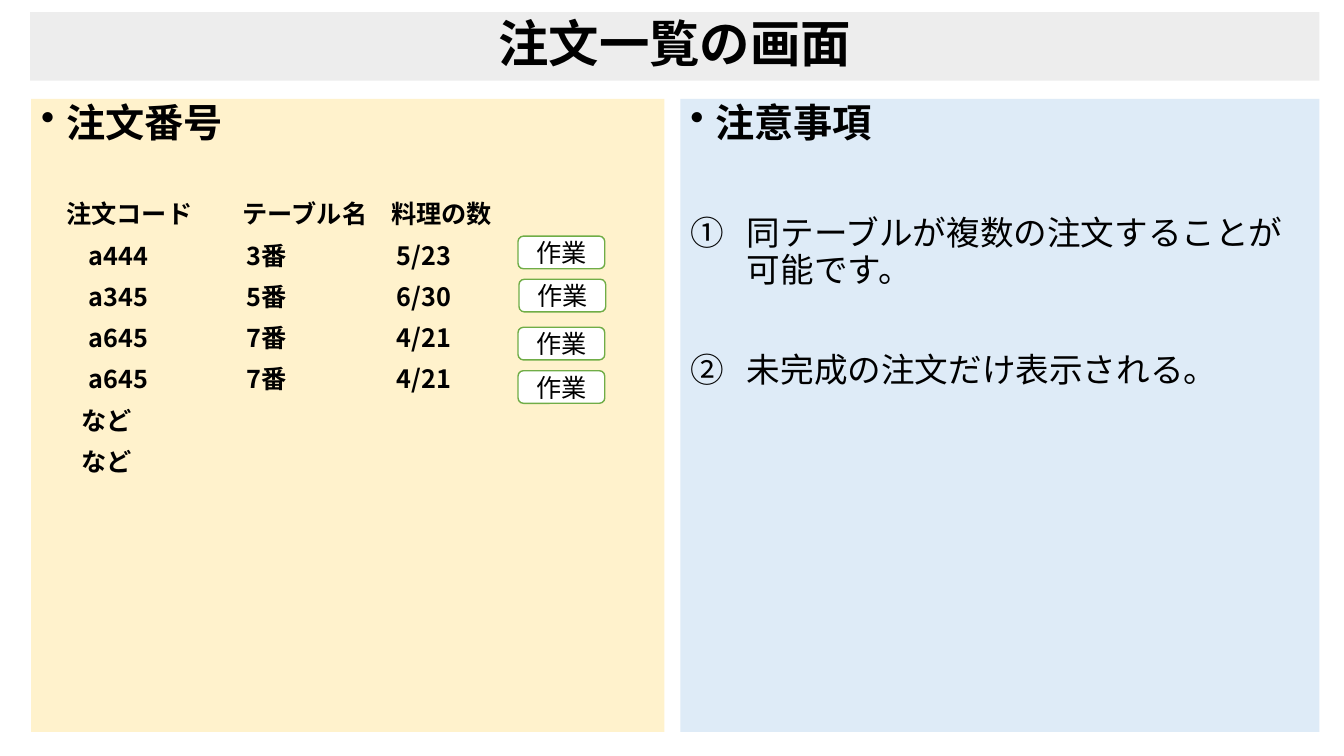
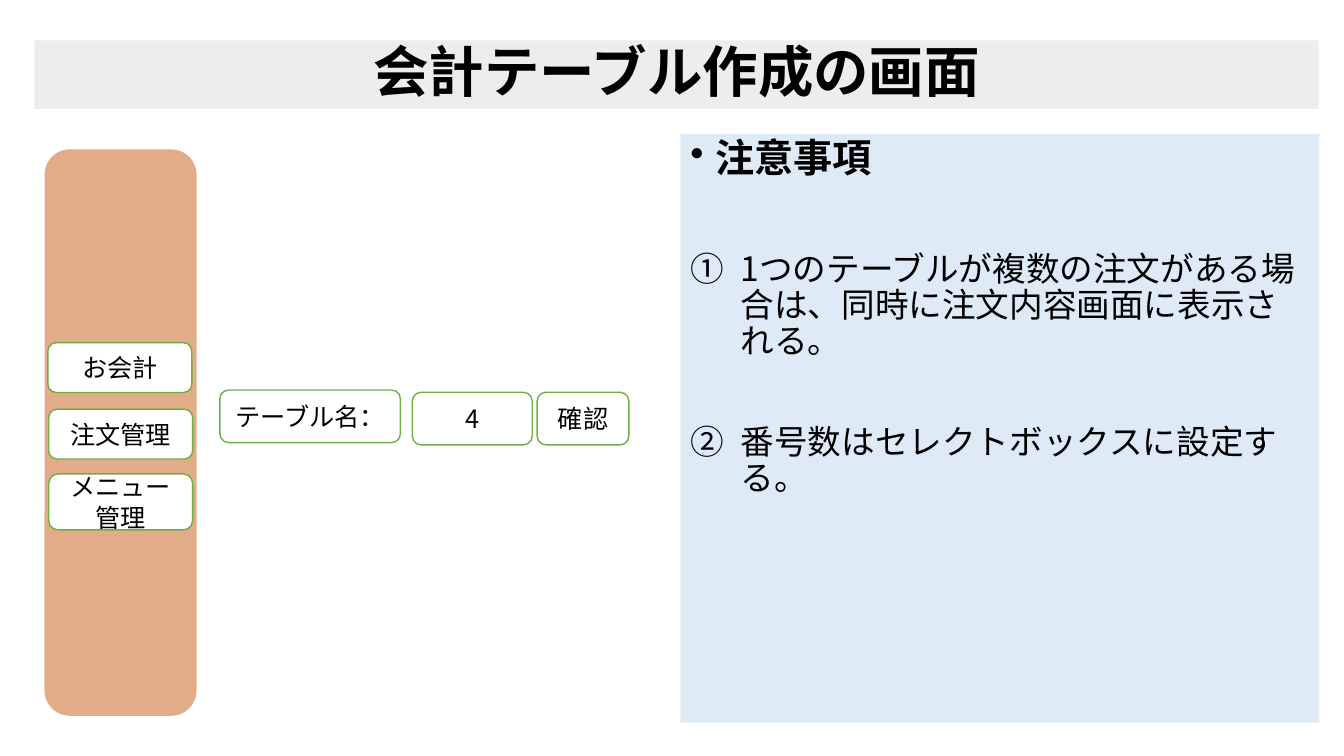
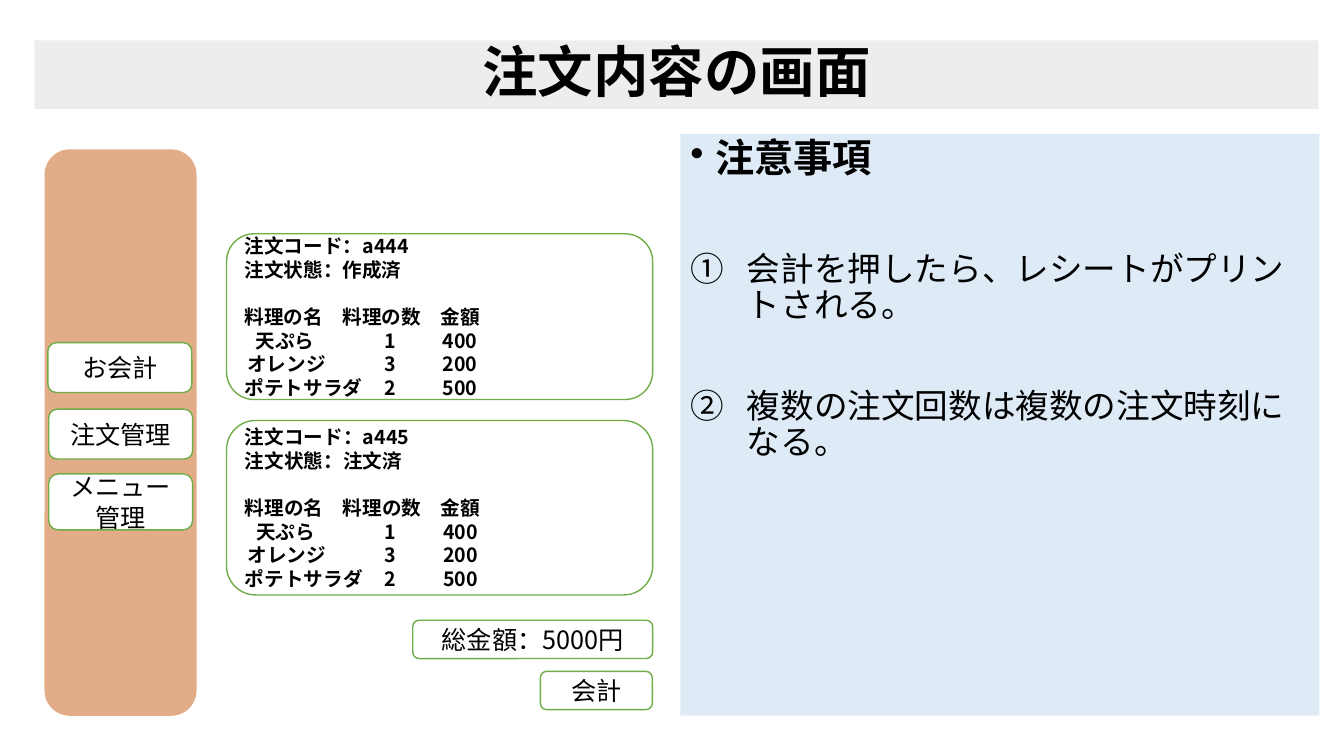
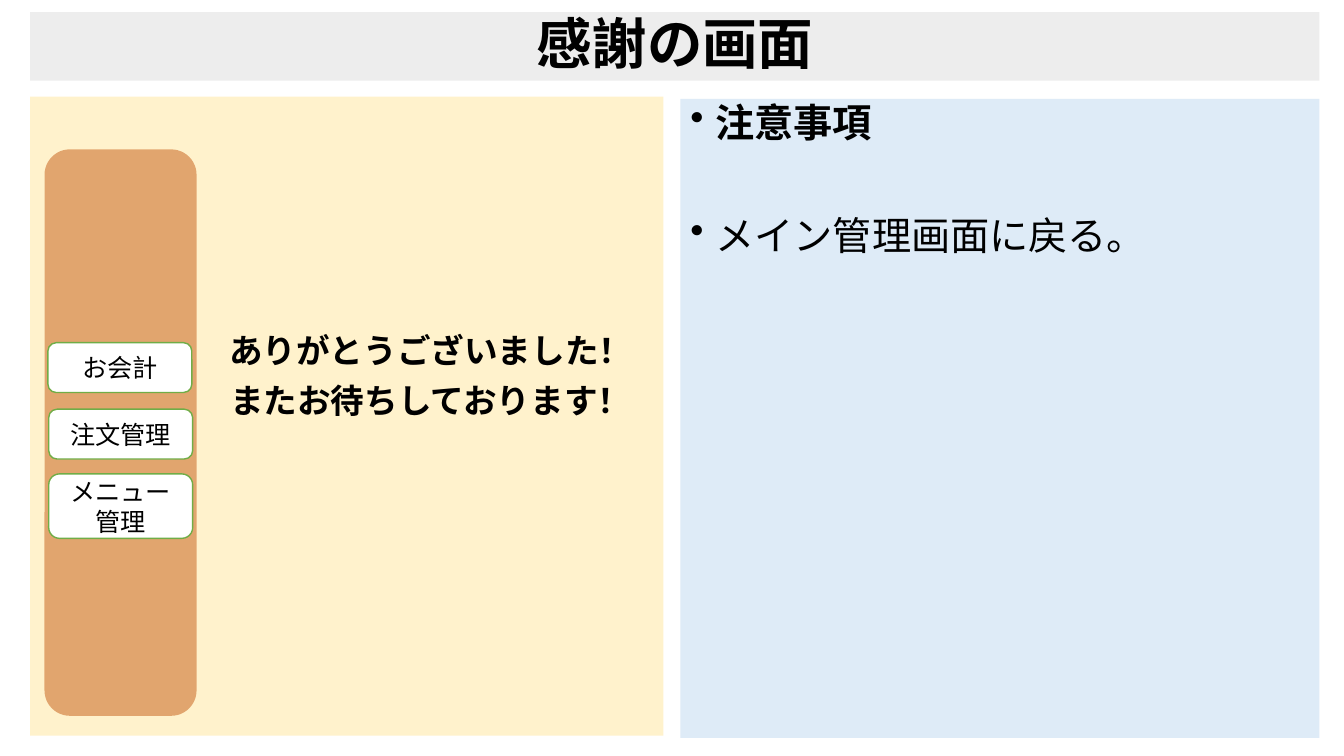
from lxml import etree
from pptx import Presentation
from pptx.dml.color import RGBColor
from pptx.enum.shapes import MSO_SHAPE
from pptx.enum.text import MSO_ANCHOR, PP_ALIGN
from pptx.oxml.ns import qn
from pptx.util import Pt

FONT = "Noto Sans CJK JP"
BLACK = RGBColor(0x00, 0x00, 0x00)
WHITE = RGBColor(0xFF, 0xFF, 0xFF)
GREY = RGBColor(0xED, 0xED, 0xED)
CREAM = RGBColor(0xFF, 0xF2, 0xCC)
BLUE = RGBColor(0xDE, 0xEB, 0xF7)
GREEN = RGBColor(0x70, 0xAD, 0x47)
BROWN = RGBColor(0xC5, 0x5A, 0x11)


def box(slide, at, fill, rounded=False, outline=None, anchor=MSO_ANCHOR.TOP):
    kind = MSO_SHAPE.ROUNDED_RECTANGLE if rounded else MSO_SHAPE.RECTANGLE
    shape = slide.shapes.add_shape(kind, *[Pt(v) for v in at])
    shape.shadow.inherit = False
    shape.fill.solid()
    shape.fill.fore_color.rgb = fill
    if outline is None:
        shape.line.fill.background()
    else:
        shape.line.color.rgb = outline
        shape.line.width = Pt(1)
    shape.text_frame.word_wrap = True
    shape.text_frame.vertical_anchor = anchor
    return shape


def write(shape, text, size, bold=False, align=PP_ALIGN.LEFT, spacing=0.9,
          before=0, bullet=None, indent=0, tabs=(), tab_align="l"):
    frame = shape.text_frame
    paragraph = frame.paragraphs[0] if not frame.text else frame.add_paragraph()
    paragraph.alignment = align
    paragraph.line_spacing = spacing
    paragraph.space_before = Pt(before)
    run = paragraph.add_run()
    run.text = text
    run.font.size = Pt(size)
    run.font.bold = bold
    run.font.color.rgb = BLACK
    run.font.name = FONT
    etree.SubElement(run.font._element, qn("a:ea"), typeface=FONT)
    # Bullets and tab stops
    props = paragraph._p.get_or_add_pPr()
    if bullet:
        props.set("marL", str(Pt(indent)))
        props.set("indent", str(-Pt(indent)))
        if bullet == "number":
            etree.SubElement(props, qn("a:buAutoNum"), type="circleNumDbPlain")
        else:
            etree.SubElement(props, qn("a:buChar"), char=bullet)
    if tabs:
        stops = etree.SubElement(props, qn("a:tabLst"))
        for stop in tabs:
            etree.SubElement(stops, qn("a:tab"), pos=str(Pt(stop)), algn=tab_align)


prs = Presentation()
prs.slide_width, prs.slide_height = Pt(960), Pt(540)

# Shared layout: title band, notes panel, sidebar, buttons
HIGH_TITLE = (21.5, 8.6, 921, 49)
LOW_TITLE = (24.5, 28.8, 917.5, 49)
NOTES_X, NOTES_W = 486, 456.5
pages = [
    dict(title="注文一覧の画面", size=36, band=HIGH_TITLE, notes=(70.6, 452.2),
         left=(22.3, 70.6, 452.2, 452.2), indent=40.5,
         items=["同テーブルが複数の注文することが可能です。",
                "未完成の注文だけ表示される。"],
         buttons=[("作業", (x, y, 62, 23.3)) for x, y in
                  [(370, 168.7), (370.7, 199.5), (370, 233.8), (370, 264.8)]]),
    dict(title="会計テーブル作成の画面", size=39.6, band=LOW_TITLE, notes=(95.8, 420.5),
         indent=36, menu_h=40,
         items=["1つのテーブルが複数の注文がある場合は、同時に注文内容画面に表示される。",
                "番号数はセレクトボックスに設定する。"],
         buttons=[("テーブル名：", (157, 278.6, 129, 37.6)),
                  ("4", (294.5, 280.2, 85.7, 37.6)),
                  ("確認", (383.7, 280.2, 65.5, 37.6))]),
    dict(title="注文内容の画面", size=39.6, band=LOW_TITLE, notes=(95.8, 415.4),
         indent=40.5, menu_h=40,
         items=["会計を押したら、レシートがプリントされる。",
                "複数の注文回数は複数の注文時刻になる。"],
         buttons=[("総金額：5000円", (294.8, 443, 171.4, 27.4)),
                  ("会計", (386, 479.5, 80, 27.4))]),
    dict(title="感謝の画面", size=39.6, band=HIGH_TITLE, notes=(70.6, 456.5),
         left=(21.6, 69, 452.2, 456.5), menu_h=46,
         items=["メイン管理画面に戻る。"], buttons=[]),
]

slides, left_panels = [], []
for page in pages:
    slide = prs.slides.add_slide(prs.slide_layouts[6])
    slides.append(slide)
    band = box(slide, page["band"], GREY, anchor=MSO_ANCHOR.MIDDLE)
    write(band, page["title"], page["size"], bold=True, align=PP_ALIGN.CENTER)
    if "left" in page:
        left_panels.append(box(slide, page["left"], CREAM))

    # Notes
    top, height = page["notes"]
    notes = box(slide, (NOTES_X, top, NOTES_W, height), BLUE)
    write(notes, "注意事項", 28, bold=True, before=10, bullet="•", indent=18)
    numbered = len(page["items"]) > 1
    for i, item in enumerate(page["items"]):
        write(notes, item, 24 if numbered else 28, before=46 if i else 50.5,
              bullet="number" if numbered else "•", indent=page.get("indent", 18))

    # Sidebar menu
    buttons = list(page["buttons"])
    if "menu_h" in page:
        sidebar = box(slide, (31.8, 106.7, 108.6, 404.6), BROWN, rounded=True)
        colour = sidebar.fill._xPr.find(qn("a:solidFill"))[0]
        etree.SubElement(colour, qn("a:alpha"), val="50000")
        buttons += [("お会計", (34.2, 244.8, 102.8, 35.6)),
                    ("注文管理", (34.8, 292.3, 102.8, 35.6)),
                    ("メニュー管理", (34.8, 338.5, 102.8, page["menu_h"]))]
    for label, at in buttons:
        button = box(slide, at, WHITE, True, GREEN, MSO_ANCHOR.MIDDLE)
        write(button, label, 18, align=PP_ALIGN.CENTER, spacing=1.0)

orders, thanks = left_panels

# Order list
write(orders, "注文番号", 28, bold=True, before=10, bullet="•", indent=18)
write(orders, "\t注文コード\tテーブル名\t料理の数", 18, bold=True, before=40,
      tabs=(18, 144, 250))
for row in [("a444", "3番", "5/23"), ("a345", "5番", "6/30"),
            ("a645", "7番", "4/21"), ("a645", "7番", "4/21")]:
    write(orders, "\t" + "\t".join(row), 18, bold=True, before=10,
          tabs=(34, 147, 254))
for more in range(2):
    write(orders, "\tなど", 18, bold=True, before=10, tabs=(29,))

# Receipts
for code, state, top, height in [("a444", "作成済", 167, 118.4),
                                 ("a445", "注文済", 300.4, 124.6)]:
    receipt = box(slides[2], (161.8, top, 304.4, height), WHITE, True, GREEN,
                  MSO_ANCHOR.MIDDLE)
    lines = [(f"注文コード：{code}", 0, ()),
             (f"注文状態：{state}", 0, ()),
             ("料理の名\t料理の数\t金額", 17, (98, 154)),
             ("\t天ぷら\t1\t400", 0, (29, 104, 154)),
             ("\tオレンジ\t3\t200", 0, (30, 104, 154)),
             ("ポテトサラダ\t2\t500", 0, (104, 154))]
    for text, before, tabs in lines:
        write(receipt, text, 14, bold=True, spacing=1.0, before=before,
              tabs=tabs, tab_align="ctr")

# Thanks message, centred beside the sidebar
thanks.text_frame.margin_top = Pt(170)
thanks.text_frame.margin_left = Pt(127)
for i, text in enumerate(["ありがとうございました！", "またお待ちしております！"]):
    write(thanks, text, 24, bold=True, align=PP_ALIGN.CENTER, before=10 * i)

prs.save("out.pptx")
